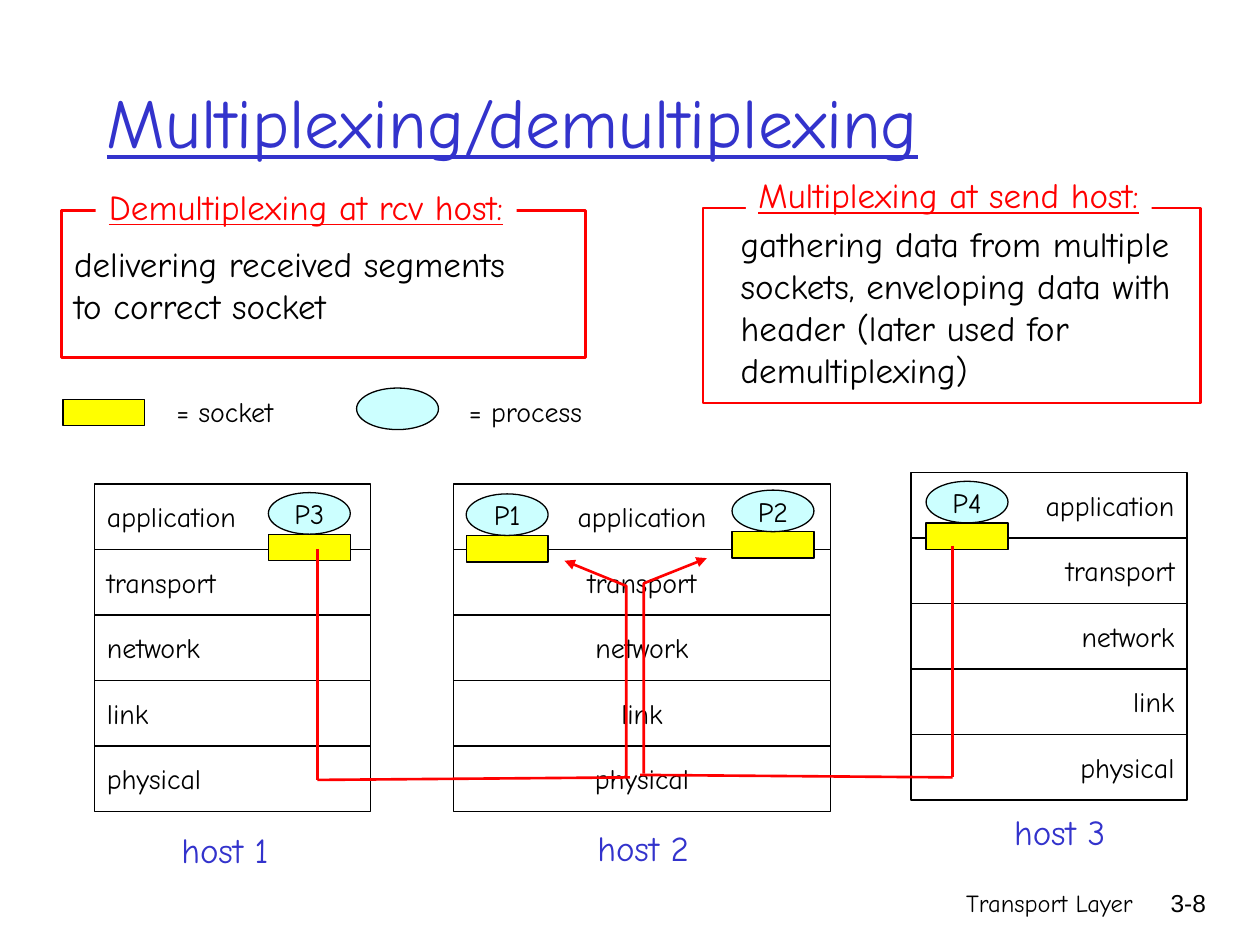
from dataclasses import dataclass

from pptx import Presentation
from pptx.dml.color import RGBColor
from pptx.enum.shapes import MSO_CONNECTOR, MSO_SHAPE
from pptx.enum.text import MSO_ANCHOR, PP_ALIGN
from pptx.oxml.ns import qn
from pptx.oxml.xmlchemy import OxmlElement
from pptx.util import Inches, Pt


@dataclass(frozen=True)
class Theme:
    font: str = "Comic Neue"
    plain: str = "Arial"
    black: str = "000000"
    white: str = "FFFFFF"
    blue: str = "3333CC"
    red: str = "FF0000"
    yellow: str = "FFFF00"
    cyan: str = "CCFFFF"
    title: int = 40
    body: int = 20
    label: int = 16
    foot: int = 14
    thin: float = 0.75
    thick: float = 1.5


T = Theme()
LEFT, MID, RIGHT = PP_ALIGN.LEFT, PP_ALIGN.CENTER, PP_ALIGN.RIGHT
LAYERS = ["application", "transport", "network", "link", "physical"]
ROW = 0.52
KEY_W, SOCK_H, PROC_H = 0.65, 0.21, 0.33


def color(code):
    return RGBColor.from_string(code)


def write(shape, lines, size, tint=T.black, align=LEFT, anchor=MSO_ANCHOR.TOP,
          font=T.font, under=False):
    frame = shape.text_frame
    frame.word_wrap = True
    frame.vertical_anchor = anchor
    if align == MID:  # centred text may use the full width
        frame.margin_left = frame.margin_right = 0
    frame.text = "\n".join(lines)
    for para in frame.paragraphs:
        para.alignment = align
        para.font.size = Pt(size)
        para.font.name = font
        para.font.color.rgb = color(tint)
        if under:
            para.font.underline = True


def label(slide, box, lines, size, **style):
    shape = slide.shapes.add_textbox(*map(Inches, box))
    write(shape, lines, size, **style)
    return shape


def block(slide, kind, box, fill=None, line=T.black, width=T.thin):
    shape = slide.shapes.add_shape(kind, *map(Inches, box))
    shape.shadow.inherit = False
    if fill:
        shape.fill.solid()
        shape.fill.fore_color.rgb = color(fill)
    else:
        shape.fill.background()
    shape.line.color.rgb = color(line)
    shape.line.width = Pt(width)
    return shape


def socket(slide, x, y):
    block(slide, MSO_SHAPE.RECTANGLE, (x, y, KEY_W, SOCK_H), T.yellow)


def process(slide, x, y, name=None):
    oval = block(slide, MSO_SHAPE.OVAL, (x, y, KEY_W, PROC_H), T.cyan)
    if name:
        write(oval, [name], T.label, align=MID, anchor=MSO_ANCHOR.MIDDLE)


def host(slide, x, y, width, align):
    for i, layer in enumerate(LAYERS):
        row = block(slide, MSO_SHAPE.RECTANGLE,
                    (x, y + i * ROW, width, ROW), T.white)
        write(row, [layer], T.label, align=align, anchor=MSO_ANCHOR.MIDDLE)


def heading(slide, box, text):
    shape = label(slide, box, [text], T.body, tint=T.red, align=MID, under=True)
    shape.fill.solid()
    shape.fill.fore_color.rgb = color(T.white)


def wire(slide, start, end):
    line = slide.shapes.add_connector(
        MSO_CONNECTOR.STRAIGHT, *map(Inches, start + end))
    line.line.color.rgb = color(T.red)
    line.line.width = Pt(T.thick)
    line._element.spPr.append(OxmlElement("a:effectLst"))


def arrow(slide, points):
    first, *rest = [tuple(map(Inches, p)) for p in points]
    pen = slide.shapes.build_freeform(*first)
    pen.add_line_segments(rest, close=False)
    shape = pen.convert_to_shape()
    shape.shadow.inherit = False
    shape.fill.background()
    shape.line.color.rgb = color(T.red)
    shape.line.width = Pt(T.thick)
    tail = OxmlElement("a:tailEnd")
    tail.set("type", "triangle")
    shape._element.spPr.find(qn("a:ln")).append(tail)


def route(slide, top, turn, foot, bend):
    """Down the sending host, across, then up to a socket of host 2."""
    wire(slide, top, turn)
    wire(slide, turn, foot)
    arrow(slide, bend)


def main():
    deck = Presentation()
    deck.slide_width, deck.slide_height = Inches(10), Inches(7.5)
    slide = deck.slides.add_slide(deck.slide_layouts[6])

    # Footer and title
    label(slide, (5.92, 7, 3.17, 0.5), ["Transport Layer"], T.foot, align=RIGHT)
    label(slide, (8.93, 7, 0.74, 0.5), ["3-8"], T.foot, align=RIGHT,
          font=T.plain)
    label(slide, (0.75, 0.33, 8.5, 1.25), ["Multiplexing/demultiplexing"],
          T.title, tint=T.blue, anchor=MSO_ANCHOR.MIDDLE, under=True)

    # Protocol stacks
    host(slide, 0.75, 3.84, 2.19, LEFT)
    host(slide, 7.23, 3.75, 2.19, RIGHT)
    host(slide, 3.6, 3.84, 2.99, MID)

    # Processes, each on its socket
    for name, x, y in [("P2", 5.81, 3.89), ("P3", 2.13, 3.91),
                       ("P4", 7.35, 3.82), ("P1", 3.7, 3.92)]:
        socket(slide, x, y + PROC_H)
        process(slide, x, y, name)

    # Host names
    for name, x, y, width in [("host 1", 1.34, 6.53, 0.89),
                              ("host 2", 4.64, 6.51, 0.93),
                              ("host 3", 7.95, 6.38, 0.92)]:
        label(slide, (x, y, width, 0.44), [name], T.body, tint=T.blue,
              align=MID)

    # Legend
    socket(slide, 0.5, 3.17)
    process(slide, 2.83, 3.08)
    label(slide, (1.3, 3.08, 0.97, 0.37), ["= socket"], T.label, align=MID)
    label(slide, (3.62, 3.08, 1.1, 0.37), ["= process"], T.label, align=MID)

    # Definitions
    demux = block(slide, MSO_SHAPE.RECTANGLE, (0.49, 1.67, 4.16, 1.17),
                  line=T.red, width=T.thick)
    write(demux, ["delivering received segments", "to correct socket"],
          T.body, anchor=MSO_ANCHOR.MIDDLE)
    heading(slide, (0.76, 1.42, 3.34, 0.44), "Demultiplexing at rcv host:")
    label(slide, (5.78, 1.72, 3.72, 1.44),
          ["gathering data from multiple", "sockets, enveloping data with",
           "header (later used for", "demultiplexing)"], T.body)
    block(slide, MSO_SHAPE.RECTANGLE, (5.58, 1.65, 3.95, 1.55),
          line=T.red, width=T.thick)
    heading(slide, (5.92, 1.33, 3.22, 0.44), "Multiplexing at send host:")

    # Data paths into host 2
    route(slide, (2.52, 4.36), (2.52, 6.19), (5, 6.17),
          [(4.97, 6.17), (4.97, 4.65), (4.48, 4.45)])
    route(slide, (7.56, 4.33), (7.56, 6.17), (5.08, 6.15),
          [(5.11, 6.14), (5.11, 4.63), (5.61, 4.43)])

    deck.save("out.pptx")


if __name__ == "__main__":
    main()
